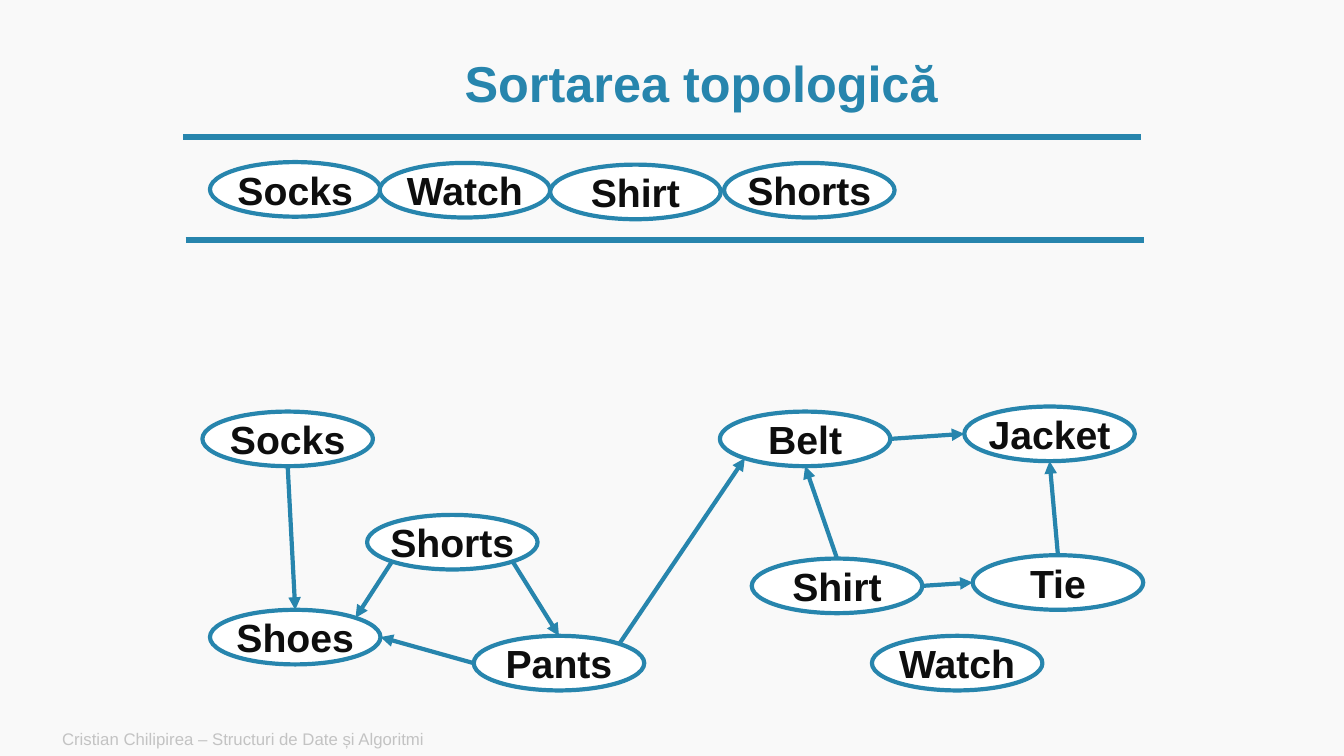
from math import cos, radians, sin

from lxml.etree import SubElement
from pptx import Presentation
from pptx.dml.color import RGBColor
from pptx.enum.shapes import MSO_CONNECTOR, MSO_SHAPE
from pptx.enum.text import MSO_ANCHOR, MSO_AUTO_SIZE, PP_ALIGN
from pptx.oxml.ns import qn
from pptx.util import Inches, Pt

COLORS = {"back": "F9F9F9", "blue": "2785AD", "ink": "0E0E0E",
          "white": "FFFFFF", "gray": "C3C3C3"}
WIDE, HIGH = Inches(13.33), Inches(7.5)
COLS, ROWS = 16, 9
OVAL = 2.03, 0.65  # node size in columns and rows

# Sites around an oval, counted anticlockwise from the top
TOP, LEFT, LOW_LEFT, BOTTOM, LOW_RIGHT, RIGHT, TOP_RIGHT = 0, 2, 3, 4, 5, 6, 7

# Sorted items and graph nodes: column, row
QUEUE = {"Socks": (2.5, 1.93), "Watch": (4.52, 1.94),
         "Shirt": (6.55, 1.96), "Shorts": (8.62, 1.94)}
NODES = {"Socks": (2.41, 4.9), "Jacket": (11.48, 4.84), "Watch": (10.38, 7.57),
         "Shorts": (4.37, 6.13), "Shoes": (2.5, 7.26), "Belt": (8.57, 4.9),
         "Pants": (5.64, 7.57), "Shirt": (8.95, 6.65), "Tie": (11.58, 6.61)}
EDGES = [("Socks", BOTTOM, "Shoes", TOP),
         ("Shorts", LOW_LEFT, "Shoes", TOP_RIGHT),
         ("Shorts", LOW_RIGHT, "Pants", TOP),
         ("Pants", LEFT, "Shoes", RIGHT),
         ("Pants", TOP_RIGHT, "Belt", LOW_LEFT),
         ("Shirt", TOP, "Belt", BOTTOM),
         ("Shirt", RIGHT, "Tie", LEFT),
         ("Tie", TOP, "Jacket", BOTTOM),
         ("Belt", RIGHT, "Jacket", LEFT)]


def col(n):
    return round(n * WIDE / COLS)


def row(n):
    return round(n * HIGH / ROWS)


def box(x, y, w, h):
    return col(x), row(y), col(w), row(h)


def tint(name):
    return RGBColor.from_string(COLORS[name])


def write(shape, text, size=28, color="ink", bold=True,
          align=PP_ALIGN.CENTER, wrap=True, space=1.0):
    frame = shape.text_frame
    frame.word_wrap = wrap
    frame.auto_size = MSO_AUTO_SIZE.NONE
    frame.vertical_anchor = MSO_ANCHOR.MIDDLE
    para = frame.paragraphs[0]
    para.alignment, para.line_spacing = align, space
    run = para.add_run()
    run.text = text
    font = run.font
    font.name, font.size, font.bold = "Arial", Pt(size), bold
    font.color.rgb = tint(color)


def site(oval, idx):
    """Point on the oval's edge at the given site."""
    turn = radians(90 + 45 * idx)
    return (round(oval.left + oval.width * (1 + cos(turn)) / 2),
            round(oval.top + oval.height * (1 - sin(turn)) / 2))


class Board:
    def __init__(self, slide, line="blue", fill="white"):
        self.slide, self.color, self.fill = slide, line, fill
        back = slide.background.fill
        back.solid()
        back.fore_color.rgb = tint("back")

    def title(self, text, *area):
        shape = self.slide.shapes.title
        shape.left, shape.top, shape.width, shape.height = box(*area)
        write(shape, text, size=36, color=self.color, space=0.9)

    def label(self, text, *area, **style):
        write(self.slide.shapes.add_textbox(*box(*area)), text, **style)

    def node(self, text, x, y):
        oval = self.slide.shapes.add_shape(MSO_SHAPE.OVAL, *box(x, y, *OVAL))
        oval.shadow.inherit = False
        oval.fill.solid()
        oval.fill.fore_color.rgb = tint(self.fill)
        oval.line.color.rgb = tint(self.color)
        oval.line.width = Pt(3)
        write(oval, text, wrap=False)
        return oval

    def line(self, start, end, width):
        link = self.slide.shapes.add_connector(
            MSO_CONNECTOR.STRAIGHT, *start, *end)
        link.line.color.rgb = tint(self.color)
        link.line.width = Pt(width)
        SubElement(link._element.spPr, qn("a:effectLst"))
        return link

    def arrow(self, tail, out, head, into):
        link = self.line(site(tail, out), site(head, into), 3)
        SubElement(link.line._get_or_add_ln(), qn("a:tailEnd"), type="triangle")
        # Glue both ends to the sites of the ovals
        glue = link._element.nvCxnSpPr.cNvCxnSpPr
        for tag, oval, idx in (("a:stCxn", tail, out), ("a:endCxn", head, into)):
            SubElement(glue, qn(tag), id=str(oval.shape_id), idx=str(idx))


def main():
    deck = Presentation()
    deck.slide_width, deck.slide_height = WIDE, HIGH
    board = Board(deck.slides.add_slide(deck.slide_layouts[5]))
    board.title("Sortarea topologică", 1.37, 0.61, 13.96, 0.83)

    # Dependency graph
    nodes = {name: board.node(name, *spot) for name, spot in NODES.items()}
    for tail, out, head, into in EDGES:
        board.arrow(nodes[tail], out, nodes[head], into)

    # Sorted row between two rules
    for x, end, y in ((2.18, 13.58, 1.63), (2.21, 13.62, 2.86)):
        board.line((col(x), row(y)), (col(end), row(y)), 4)
    for name, spot in QUEUE.items():
        board.node(name, *spot)

    # Footer
    board.label("Cristian Chilipirea – Structuri de Date și Algoritmi",
                0.62, 8.59, 10.08, 0.41, size=12, color="gray", bold=False,
                align=PP_ALIGN.LEFT)
    deck.save("out.pptx")


if __name__ == "__main__":
    main()
